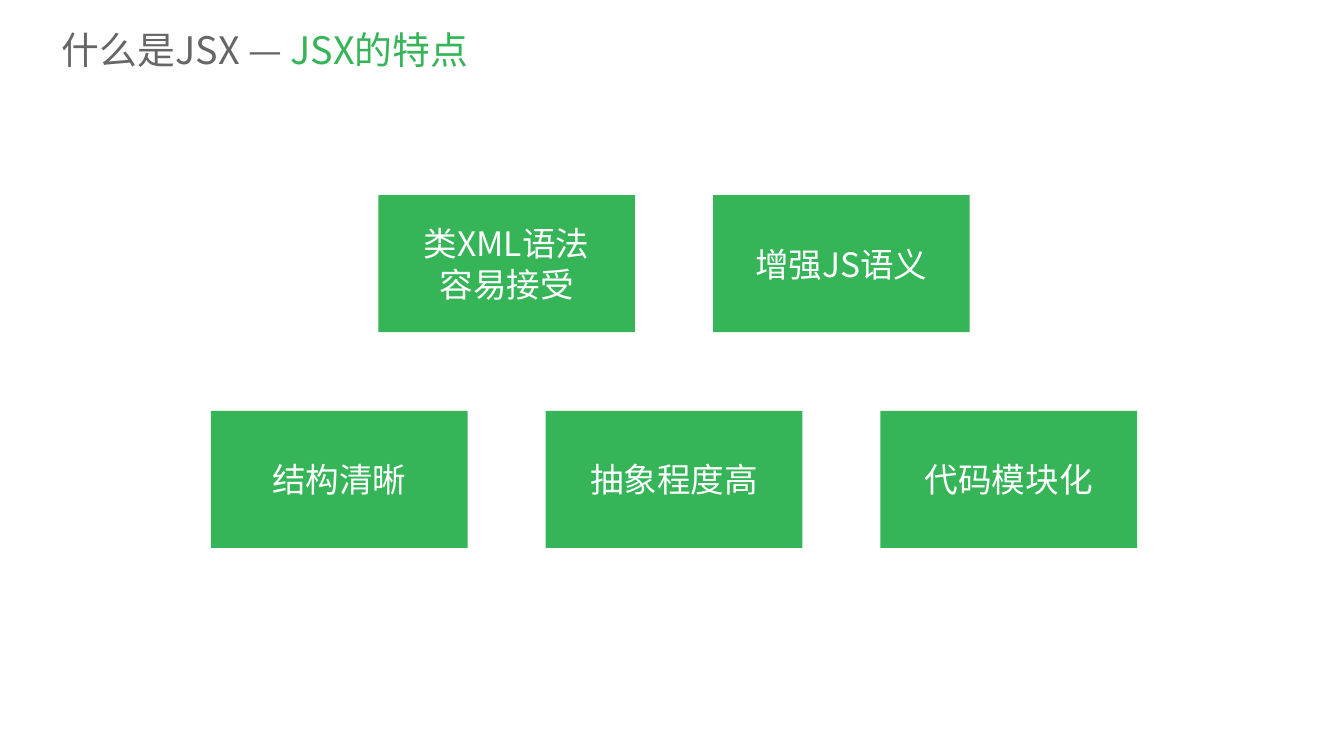
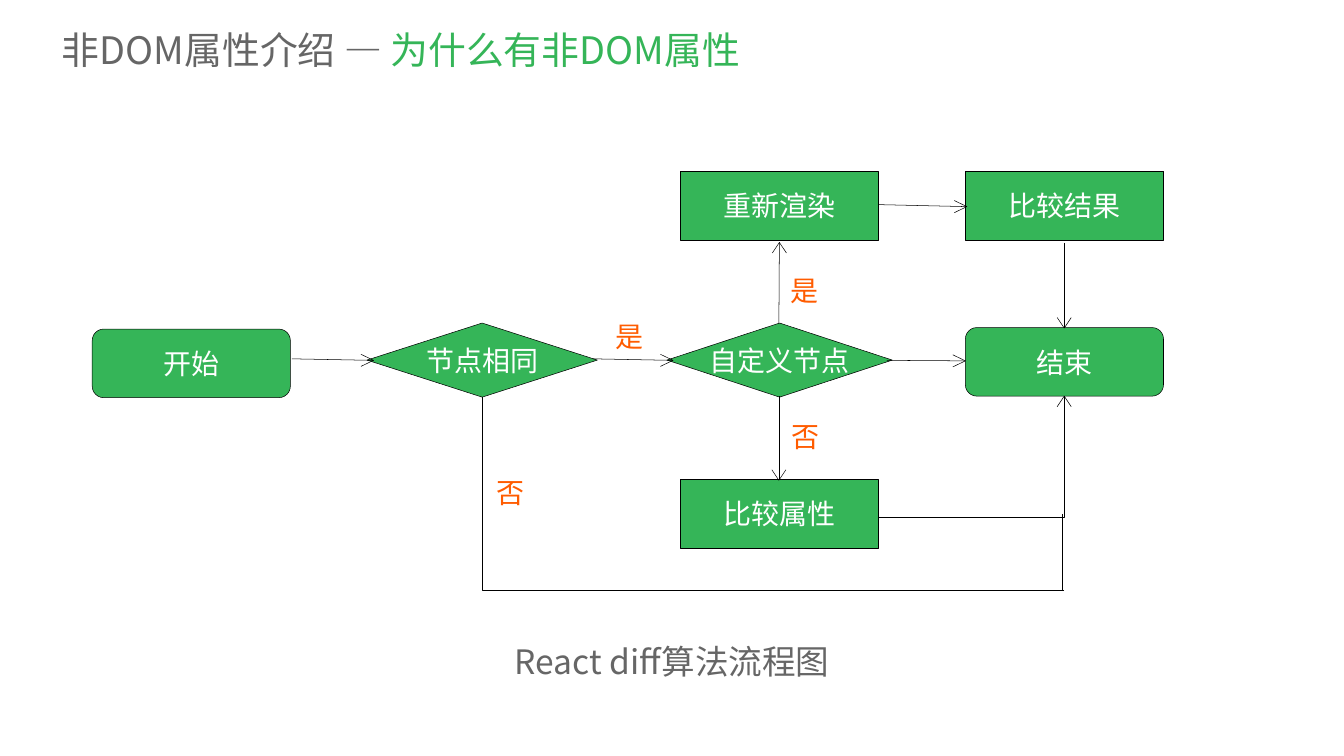
from collections import namedtuple

from lxml import etree
from pptx import Presentation
from pptx.dml.color import RGBColor
from pptx.enum.shapes import MSO_CONNECTOR, MSO_SHAPE
from pptx.enum.text import MSO_ANCHOR, MSO_AUTO_SIZE, PP_ALIGN
from pptx.oxml.ns import qn
from pptx.util import Inches, Pt

Box = namedtuple("Box", "left top width height")

COLORS = {
    "green": "35B558",
    "gray": "666666",
    "orange": "FF5C00",
    "white": "FFFFFF",
    "black": "000000",
}
HEAD_FONT = "Noto Sans CJK SC"
FLOW_FONT = "Arial"

CARD = MSO_SHAPE.FOLDED_CORNER
DECISION = MSO_SHAPE.FLOWCHART_DECISION
PROCESS = MSO_SHAPE.FLOWCHART_PROCESS
TERMINAL = MSO_SHAPE.FLOWCHART_ALTERNATE_PROCESS
STRAIGHT = MSO_CONNECTOR.STRAIGHT
ELBOW = MSO_CONNECTOR.ELBOW
CENTER = PP_ALIGN.CENTER
LEFT = PP_ALIGN.LEFT
MIDDLE = MSO_ANCHOR.MIDDLE
GROW = MSO_AUTO_SIZE.SHAPE_TO_FIT_TEXT

PAGE_SIZE = (26.66, 15)
TITLE_BOX = Box(1.13, 0.43, 25.15, 1.1)
CARDS_BOX = Box(4.18, 3.87, 18.38, 7)
FLOW_BOX = Box(1.83, 3.39, 21.25, 8.32)
CAPTION_BOX = Box(9.91, 12.66, 6.85, 0.9)

CARD_SIZE = (5.09, 2.72)
CARD_STEP = 6.64
CARD_ROWS = [
    ["类XML语法\n容易接受", "增强JS语义"],
    ["结构清晰", "抽象程度高", "代码模块化"],
]

# Flow chart: shape, text, then place and size inside the chart
NODES = [
    (DECISION, "节点相同", Box(5.45, 3.02, 4.57, 1.47)),
    (DECISION, "自定义节点", Box(11.4, 3.02, 4.47, 1.47)),
    (PROCESS, "比较属性", Box(11.66, 6.11, 3.93, 1.38)),
    (PROCESS, "重新渲染", Box(11.66, 0, 3.93, 1.38)),
    (PROCESS, "比较结果", Box(17.32, 0, 3.93, 1.38)),
    (TERMINAL, "结束", Box(17.32, 3.11, 3.93, 1.36)),
    (TERMINAL, "开始", Box(0, 3.14, 3.93, 1.36)),
]
ARROWS = [
    ((3.96, 3.73), (5.58, 3.76)),
    ((9.93, 3.73), (11.52, 3.76)),
    ((15.76, 3.76), (17.32, 3.77)),
    ((15.59, 0.67), (17.35, 0.71)),
    ((19.28, 1.43), (19.28, 3.12)),
    ((13.62, 3.02), (13.63, 1.42)),
    ((13.62, 4.47), (13.62, 6.14)),
]
BRANCH_LABELS = [
    ("否", 7.86, 5.99),
    ("是", 10.23, 2.91),
    ("是", 13.69, 1.98),
    ("否", 13.72, 4.88),
]


def color(name):
    return RGBColor.from_string(COLORS[name])


def inside(outer, box):
    """Shift a box by the corner of the region that holds it."""
    return Box(outer.left + box.left, outer.top + box.top, box.width, box.height)


def lengths(values):
    return [Inches(value) for value in values]


def write(frame, text, size, font, ink, align=CENTER):
    for index, line in enumerate(text.split("\n")):
        para = frame.paragraphs[0] if index == 0 else frame.add_paragraph()
        para.text = line
        para.alignment = align
        para.font.size = Pt(size)
        para.font.name = font
        para.font.color.rgb = color(ink)


def add_label(page, box, text, size, font, ink):
    frame = page.shapes.add_textbox(*lengths(box)).text_frame
    frame.word_wrap = True
    frame.auto_size = GROW
    write(frame, text, size, font, ink)


def add_block(page, kind, box, text, size, font, outline=False):
    block = page.shapes.add_shape(kind, *lengths(box))
    block.shadow.inherit = False
    block.fill.solid()
    block.fill.fore_color.rgb = color("green")
    if outline:
        block.line.color.rgb = color("black")
        block.line.width = Pt(0.75)
    else:
        block.line.fill.background()
    frame = block.text_frame
    frame.word_wrap = False
    frame.vertical_anchor = MIDDLE
    write(frame, text, size, font, "white")
    return block


def flatten_corner(card):
    """Set the fold of a folded-corner shape to nothing."""
    guides = card.element.spPr.find(qn("a:prstGeom")).find(qn("a:avLst"))
    etree.SubElement(guides, qn("a:gd"), name="adj", fmla="val 0")


def add_line(page, region, start, end, kind=STRAIGHT, width=0.75):
    ends = [(region.left + x, region.top + y) for x, y in (start, end)]
    line = page.shapes.add_connector(kind, *lengths(ends[0] + ends[1]))
    line.line.color.rgb = color("black")
    line.line.width = Pt(width)
    properties = line.element.spPr
    etree.SubElement(properties, qn("a:effectLst"))
    if kind == ELBOW:  # one corner: first across, then up or down
        properties.find(qn("a:prstGeom")).set("prst", "bentConnector2")


def add_arrowhead(page, region, start, tip):
    """Open chevron at the tip, along the main direction of the line."""
    x, y = region.left + tip[0], region.top + tip[1]
    run, rise = tip[0] - start[0], tip[1] - start[1]
    if abs(run) > abs(rise):
        back = x - (0.25 if run > 0 else -0.25)
        wings = [(back, y - 0.12), (back, y + 0.12)]
    else:
        back = y - (0.21 if rise > 0 else -0.21)
        wings = [(x - 0.14, back), (x + 0.14, back)]
    builder = page.shapes.build_freeform(*lengths(wings[0]), scale=1.0)
    builder.add_line_segments([lengths((x, y)), lengths(wings[1])], close=False)
    head = builder.convert_to_shape()
    head.shadow.inherit = False
    head.fill.background()
    head.line.color.rgb = color("black")
    head.line.width = Pt(0.75)


def add_title(page, box, topic, detail):
    frame = page.shapes.add_textbox(*lengths(box)).text_frame
    frame.word_wrap = True
    frame.vertical_anchor = MIDDLE
    para = frame.paragraphs[0]
    para.alignment = LEFT
    para.font.size = Pt(54)
    para.font.name = HEAD_FONT
    for text, ink in ((topic + " — ", "gray"), (detail, "green")):
        span = para.add_run()
        span.text = text
        span.font.color.rgb = color(ink)


def add_cards(page, box):
    """Rows of cards, each row centred in the region."""
    width, height = CARD_SIZE
    for row, texts in enumerate(CARD_ROWS):
        row_width = width + CARD_STEP * (len(texts) - 1)
        left = (box.width - row_width) / 2
        top = row * (box.height - height)
        for column, text in enumerate(texts):
            place = inside(box, Box(left + column * CARD_STEP, top, width, height))
            flatten_corner(add_block(page, CARD, place, text, 48, HEAD_FONT))


def add_flow_chart(page, box):
    for kind, text, place in NODES:
        add_block(page, kind, inside(box, place), text, 40, FLOW_FONT, outline=True)

    # Straight arrows
    for start, tip in ARROWS:
        add_line(page, box, start, tip)
        add_arrowhead(page, box, start, tip)

    # Paths that run below the chart to the end node
    add_line(page, box, (19.28, 8.32), (7.73, 4.48), ELBOW, 0.5)
    add_line(page, box, (19.25, 8.32), (19.25, 6.8))
    add_line(page, box, (15.59, 6.88), (19.28, 4.47), ELBOW)
    add_arrowhead(page, box, (19.28, 6.88), (19.28, 4.47))

    for text, left, top in BRANCH_LABELS:
        place = inside(box, Box(left, top, 0.86, 0.77))
        add_label(page, place, text, 40, FLOW_FONT, "orange")


def add_page(deck, topic, detail):
    page = deck.slides.add_slide(deck.slide_layouts[6])
    page.background.fill.solid()
    page.background.fill.fore_color.rgb = color("white")
    add_title(page, TITLE_BOX, topic, detail)
    return page


def main():
    deck = Presentation()
    deck.slide_width, deck.slide_height = lengths(PAGE_SIZE)

    page = add_page(deck, "什么是JSX", "JSX的特点")
    add_cards(page, CARDS_BOX)

    page = add_page(deck, "非DOM属性介绍", "为什么有非DOM属性")
    add_flow_chart(page, FLOW_BOX)
    add_label(page, CAPTION_BOX, "React diff算法流程图", 48, HEAD_FONT, "gray")

    deck.save("out.pptx")


if __name__ == "__main__":
    main()
